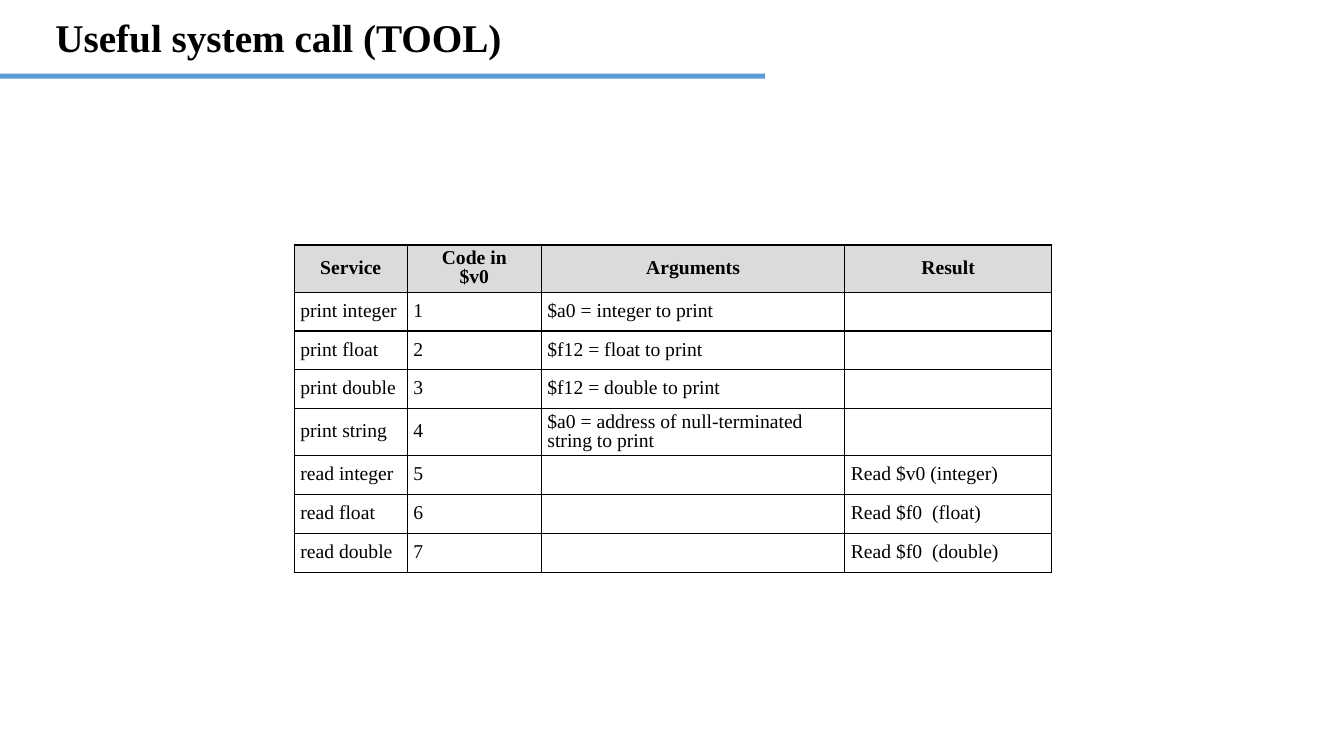
from dataclasses import dataclass
from typing import Any

from lxml import etree
from pptx import Presentation
from pptx import util as u
from pptx.dml import color
from pptx.enum import shapes, text
from pptx.oxml import ns


@dataclass(frozen=True)
class Theme:
    font: str = "Times New Roman"
    ink: str = "000000"
    accent: str = "5B9BD5"
    header: str = "DBDBDB"
    title_size: int = 28
    table_size: int = 14
    border: int = 1


@dataclass(frozen=True)
class Area:
    """Place on the slide, in percent of its width and height."""
    left: float
    top: float
    width: float
    height: float

    def box(self) -> tuple[int, int, int, int]:
        return across(self.left), down(self.top), across(self.width), down(self.height)


@dataclass(frozen=True)
class Syscall:
    service: str
    code: str
    arguments: str = ""
    result: str = ""

    def cells(self) -> tuple[str, ...]:
        return self.service, self.code, self.arguments, self.result


THEME = Theme()
WIDTH, HEIGHT = u.Inches(13.33), u.Inches(7.5)
TITLE_AREA = Area(3.38, 1.07, 35.33, 13.87)
RULE_AREA = Area(0, 9.73, 56.94, 0.67)
COLUMN_SHARES = (8.4, 9.98, 22.58, 15.38)
LOW_ROW, HIGH_ROW = 4, 4.93
HIGH_ROWS = (0, 4)

HEADING = Syscall("Service", "Code in\n$v0", "Arguments", "Result")
SYSCALLS = (
    Syscall("print integer", "1", "$a0 = integer to print"),
    Syscall("print float", "2", "$f12 = float to print"),
    Syscall("print double", "3", "$f12 = double to print"),
    Syscall("print string", "4", "$a0 = address of null-terminated string to print"),
    Syscall("read integer", "5", result="Read $v0 (integer)"),
    Syscall("read float", "6", result="Read $f0  (float)"),
    Syscall("read double", "7", result="Read $f0  (double)"),
)
CELL_FORMAT = {
    "vertical_anchor": text.MSO_ANCHOR.MIDDLE,
    "margin_left": u.Inches(0.06),
    "margin_right": u.Inches(0.06),
    "margin_top": u.Inches(0.04),
    "margin_bottom": u.Inches(0.04),
}


def across(share: float) -> int:
    return round(WIDTH * share / 100)


def down(share: float) -> int:
    return round(HEIGHT * share / 100)


def apply(target: Any, values: dict[str, Any]) -> None:
    for name, value in values.items():
        setattr(target, name, value)


def style_font(font: Any, size: int, bold: bool) -> None:
    apply(font, {"name": THEME.font, "size": u.Pt(size), "bold": bold})
    font.color.rgb = color.RGBColor.from_string(THEME.ink)


def paint(fill: Any, shade: str) -> None:
    fill.solid()
    fill.fore_color.rgb = color.RGBColor.from_string(shade)


def draw_borders(cell: Any) -> None:
    properties = cell._tc.get_or_add_tcPr()
    for position, side in enumerate(("a:lnL", "a:lnR", "a:lnT", "a:lnB")):
        line = etree.Element(ns.qn(side), w=str(u.Pt(THEME.border)))
        solid = etree.SubElement(line, ns.qn("a:solidFill"))
        etree.SubElement(solid, ns.qn("a:srgbClr"), val=THEME.ink)
        properties.insert(position, line)


def fill_cell(cell: Any, wording: str, is_heading: bool) -> None:
    apply(cell, CELL_FORMAT)
    cell.text_frame.text = wording
    for paragraph in cell.text_frame.paragraphs:
        paragraph.line_spacing = u.Pt(THEME.table_size)
        paragraph.alignment = text.PP_ALIGN.CENTER if is_heading else text.PP_ALIGN.LEFT
        for run in paragraph.runs:
            style_font(run.font, THEME.table_size, is_heading)
    if is_heading:
        paint(cell.fill, THEME.header)
    else:
        cell.fill.background()
    draw_borders(cell)


def draw_syscalls(slide: Any) -> None:
    entries = (HEADING, *SYSCALLS)
    heights = [HIGH_ROW if i in HIGH_ROWS else LOW_ROW for i in range(len(entries))]
    area = Area(21.9, 32.4, sum(COLUMN_SHARES), sum(heights))
    table = slide.shapes.add_table(len(entries), len(COLUMN_SHARES), *area.box()).table
    apply(table, {"first_row": False, "horz_banding": False})
    for column, share in zip(table.columns, COLUMN_SHARES):
        column.width = across(share)
    for row, entry, height in zip(table.rows, entries, heights):
        row.height = down(height)
        for cell, wording in zip(row.cells, entry.cells()):
            fill_cell(cell, wording, entry is HEADING)


def draw_title(slide: Any, wording: str) -> None:
    frame = slide.shapes.add_textbox(*TITLE_AREA.box()).text_frame
    apply(frame, {"text": wording, "word_wrap": False,
                  "auto_size": text.MSO_AUTO_SIZE.SHAPE_TO_FIT_TEXT})
    style_font(frame.paragraphs[0].runs[0].font, THEME.title_size, True)


def draw_title_rule(slide: Any) -> None:
    title_rule = slide.shapes.add_shape(shapes.MSO_SHAPE.RECTANGLE, *RULE_AREA.box())
    title_rule.shadow.inherit = False
    paint(title_rule.fill, THEME.accent)
    title_rule.line.fill.background()


def main() -> None:
    deck = Presentation()
    apply(deck, {"slide_width": WIDTH, "slide_height": HEIGHT})
    slide = deck.slides.add_slide(deck.slide_layouts[6])

    # System call table
    draw_syscalls(slide)

    # Title with its rule
    draw_title(slide, "Useful system call (TOOL)")
    draw_title_rule(slide)

    deck.save("out.pptx")


if __name__ == "__main__":
    main()
